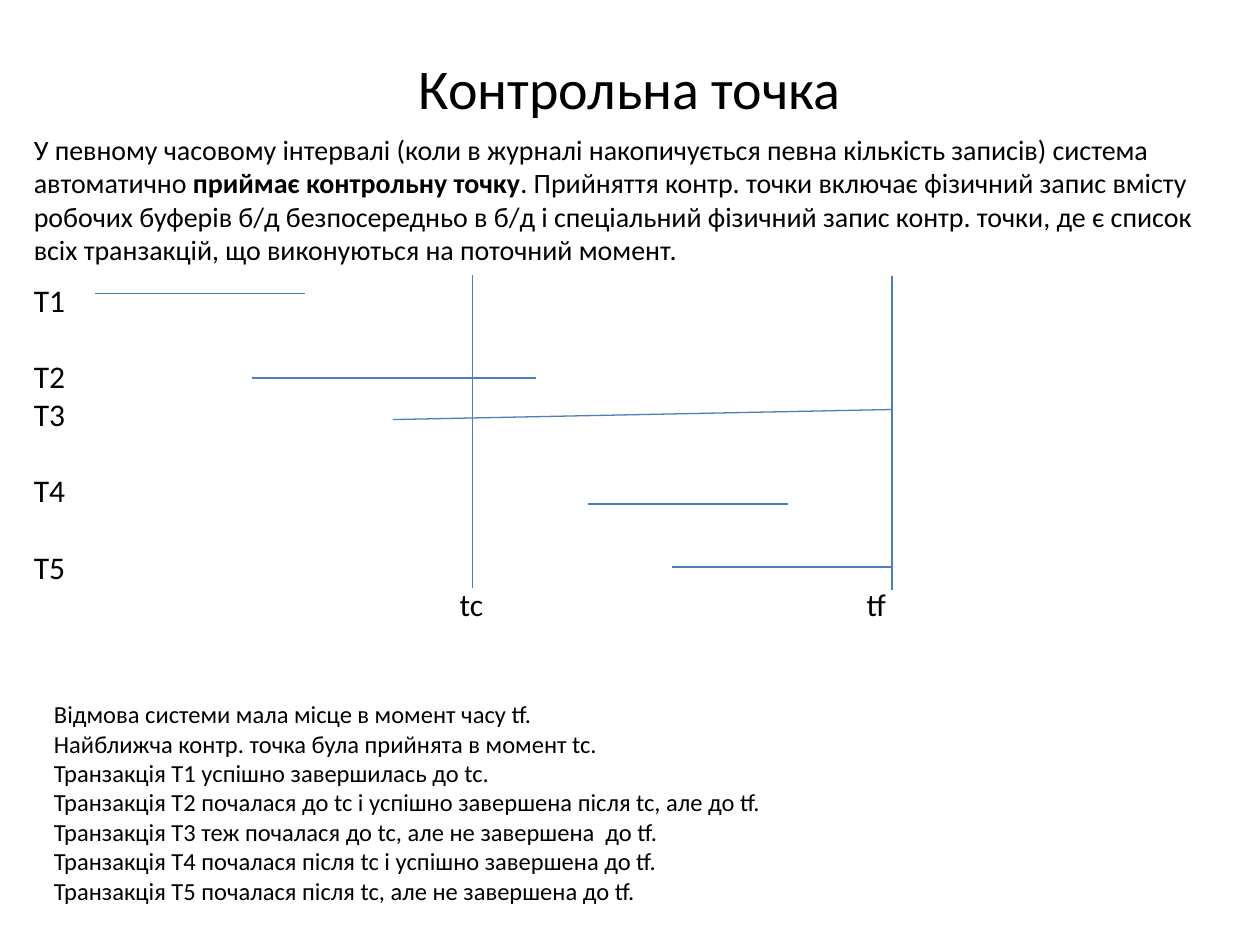
from lxml.etree import SubElement
from pptx import Presentation
from pptx.dml.color import RGBColor
from pptx.enum.shapes import MSO_CONNECTOR
from pptx.enum.text import MSO_ANCHOR, PP_ALIGN
from pptx.oxml.ns import qn
from pptx.util import Inches, Pt

BLACK = RGBColor(0x00, 0x00, 0x00)
BLUE = RGBColor(0x4B, 0x7E, 0xBC)

prs = Presentation()
prs.slide_width, prs.slide_height = Inches(10), Inches(7.5)
s = prs.slides.add_slide(prs.slide_layouts[6])


def add_text(x, y, w, h, paragraphs, size):
    tf = s.shapes.add_textbox(Inches(x), Inches(y), Inches(w), Inches(h)).text_frame
    tf.word_wrap = True
    for i, runs in enumerate(paragraphs):
        p = tf.paragraphs[0] if i == 0 else tf.add_paragraph()
        for j, text in enumerate(runs):
            r = p.add_run()
            r.text = text
            r.font.name = "Calibri"
            r.font.size = Pt(size)
            r.font.bold = j == 1
            r.font.color.rgb = BLACK
    return tf


def add_line(x1, y1, x2, y2):
    line = s.shapes.add_connector(
        MSO_CONNECTOR.STRAIGHT, Inches(x1), Inches(y1), Inches(x2), Inches(y2))
    line.line.color.rgb = BLUE
    line.line.width = Pt(0.75)
    SubElement(line._element.spPr, qn("a:effectLst"))


title = add_text(0.5, 0.3, 9, 0.78, [["Контрольна точка"]], 32)
title.vertical_anchor = MSO_ANCHOR.MIDDLE
title.paragraphs[0].alignment = PP_ALIGN.CENTER

add_text(0.17, 1, 9.58, 1.18, [[
    "У певному часовому інтервалі (коли в журналі накопичується певна кількість записів) "
    "система автоматично ",
    "приймає контрольну точку",
    ". Прийняття контр. точки включає фізичний запис вмісту робочих буферів б/д "
    "безпосередньо в б/д і спеціальний фізичний запис контр. точки, де є список всіх "
    "транзакцій, що виконуються на поточний момент.",
]], 16)

labels = ["T1", "T2", "T3", "T4", "T5", "\ttc\ttf"]
tf = add_text(0.17, 2.18, 9.67, 3.13, [[label] for label in labels], 18)
for i in (1, 3, 4):
    tf.paragraphs[i].space_before = Pt(22)
tabs = SubElement(tf.paragraphs[-1]._p.get_or_add_pPr(), qn("a:tabLst"))
for x in (3.38, 6.61):
    SubElement(tabs, qn("a:tab"), pos=str(Inches(x)), algn="l")

CHECKPOINT, FAILURE = 3.75, 7.08
add_line(CHECKPOINT, 4.67, CHECKPOINT, 2.18)
add_line(FAILURE, 4.68, FAILURE, 2.19)
transactions = [
    (0.75, 2.33, 2.42, 2.33),
    (2, 3, 4.25, 3),
    (3.12, 3.33, FAILURE, 3.25),
    (4.67, 4, 6.25, 4),
    (5.33, 4.5, FAILURE, 4.5),
]
for transaction in transactions:
    add_line(*transaction)

notes = [
    "Відмова системи мала місце в момент часу tf.",
    "Найближча контр. точка була прийнята в момент tc.",
    "Транзакція Т1 успішно завершилась до tc.",
    "Транзакція Т2 почалася до tc і успішно завершена після tc, але до tf.",
    "Транзакція Т3 теж почалася до tc, але не завершена  до tf.",
    "Транзакція Т4 почалася після tc і успішно завершена до tf.",
    "Транзакція Т5 почалася після tc, але не завершена до tf.",
]
add_text(0.33, 5.5, 6.75, 1.75, [[note] for note in notes], 14)

prs.save("out.pptx")
